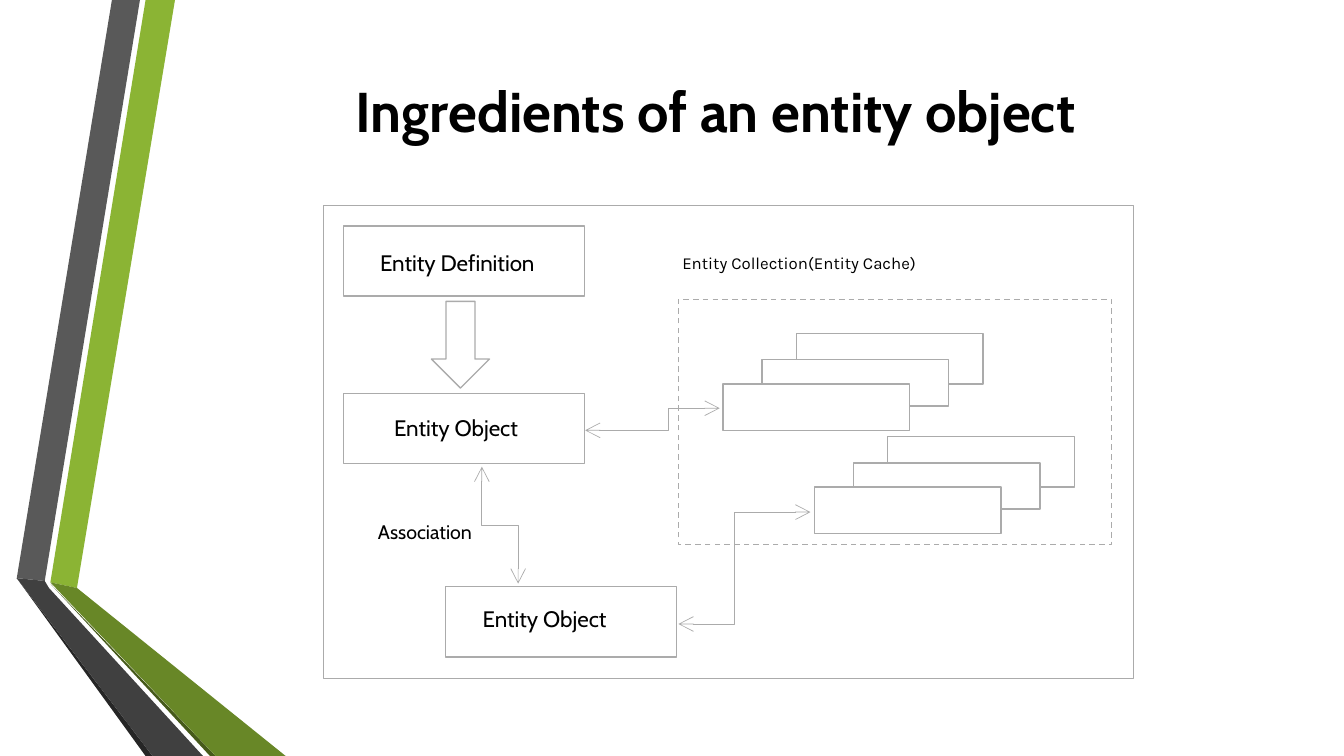
from dataclasses import dataclass

from lxml import etree
from pptx import Presentation
from pptx.dml.color import RGBColor
from pptx.enum.dml import MSO_LINE
from pptx.enum.shapes import MSO_CONNECTOR, MSO_SHAPE
from pptx.enum.text import MSO_ANCHOR, PP_ALIGN
from pptx.oxml.ns import qn
from pptx.util import Pt

BLACK = RGBColor(0x00, 0x00, 0x00)
WHITE = RGBColor(0xFF, 0xFF, 0xFF)
GREY = RGBColor(0xAB, 0xAB, 0xAB)
GREEN = RGBColor(0x8B, 0xB4, 0x34)
MID_GREEN = RGBColor(0x68, 0x87, 0x27)
DARK_GREEN = RGBColor(0x46, 0x5A, 0x1A)
SLATE = RGBColor(0x59, 0x59, 0x59)
DARK_SLATE = RGBColor(0x40, 0x40, 0x40)
INK = RGBColor(0x26, 0x26, 0x26)

RECTANGLE = MSO_SHAPE.RECTANGLE
DOWN_ARROW = MSO_SHAPE.DOWN_ARROW
ELBOW = MSO_CONNECTOR.ELBOW
DASH = MSO_LINE.DASH
LEFT, CENTER = PP_ALIGN.LEFT, PP_ALIGN.CENTER
TOP, MIDDLE = MSO_ANCHOR.TOP, MSO_ANCHOR.MIDDLE


@dataclass
class Ribbon:
    color: RGBColor
    points: list[tuple[float, float]]


@dataclass
class Box:
    x: float
    y: float
    w: float
    h: float
    text: str = ""
    inset_x: float = 0
    inset_y: float = 0
    line_width: float = 1
    dash: MSO_LINE | None = None
    preset: MSO_SHAPE = RECTANGLE


@dataclass
class Label:
    x: float
    y: float
    w: float
    h: float
    text: str
    size: float
    font: str = "Cabin"


@dataclass
class Link:
    x1: float
    y1: float
    x2: float
    y2: float
    bend: float = 0.5
    vertical: bool = False


RIBBONS = [
    Ribbon(GREEN, [(36, 416.2), (55.4, 419.8), (124.6, 0), (104.4, 0)]),
    Ribbon(SLATE, [(100, 0), (80, 0), (11.5, 412.6), (31.7, 415.4)]),
    Ribbon(INK, [(11.5, 412.6), (104.4, 540), (108.7, 540)]),
    Ribbon(DARK_GREEN, [(36, 416.9), (149.8, 540), (154.1, 540)]),
    Ribbon(MID_GREEN, [(36, 416.2), (154.1, 540), (203.8, 540), (55.4, 419.8)]),
    Ribbon(DARK_SLATE, [(145.4, 540), (34.6, 419.8), (31.7, 415.4),
                        (11.5, 412.6), (108.7, 540)]),
]
STACK = [(568.8, 238.3, 36), (544.3, 257, 33.1), (516.4, 274.3, 33.1)]
STACK_OFFSETS = [(0, 0), (65.2, 73.6)]
BOXES = [
    Box(231.1, 146.9, 578.2, 337.7, line_width=0.5),
    Box(245.5, 161.5, 171.8, 50, "Entity Definition", 26, 13.5),
    Box(308.2, 215.3, 41.4, 61.9, preset=DOWN_ARROW),
    Box(245.5, 281, 171.8, 50, "Entity Object", 36, 12),
    Box(318.2, 419, 164.9, 50.4, "Entity Object", 26.6, 10.1),
    Box(484.6, 213.8, 309.6, 175, dash=DASH),
] + [Box(x + dx, y + dy, 133.4, h)
     for dx, dy in STACK_OFFSETS for x, y, h in STACK]
LABELS = [
    Label(487.4, 178.6, 300, 33, "Entity Collection(Entity Cache)", 12, "Karla"),
    Label(270, 368.6, 72, 33, "Association", 14),
]
LINKS = [
    Link(418, 307.4, 514.1, 291.6, bend=0.62),
    Link(344.2, 333.4, 370.1, 416.9, vertical=True),
    Link(484.6, 445.7, 578.9, 365.8, bend=0.42),
]


def write(tf, text: str, size: float, font: str = "Cabin", bold: bool = False,
          align=LEFT, anchor=TOP, spacing: float = 1.15,
          inset_x: float = 0, inset_y: float = 0) -> None:
    frame = {"word_wrap": True, "vertical_anchor": anchor,
             "margin_left": Pt(inset_x), "margin_top": Pt(inset_y),
             "margin_right": 0, "margin_bottom": 0}
    for name, value in frame.items():
        setattr(tf, name, value)
    p = tf.paragraphs[0]
    p.alignment, p.line_spacing = align, spacing
    r = p.add_run()
    r.text = text
    for name, value in {"size": Pt(size), "name": font, "bold": bold}.items():
        setattr(r.font, name, value)
    r.font.color.rgb = BLACK


def draw_ribbon(s, ribbon: Ribbon) -> None:
    builder = s.shapes.build_freeform(*ribbon.points[0], scale=Pt(1))
    builder.add_line_segments(ribbon.points[1:], close=True)
    sp = builder.convert_to_shape()
    sp.shadow.inherit = False
    sp.fill.solid()
    sp.fill.fore_color.rgb = ribbon.color
    sp.line.fill.background()


def draw_box(s, box: Box) -> None:
    sp = s.shapes.add_shape(box.preset, Pt(box.x), Pt(box.y), Pt(box.w), Pt(box.h))
    sp.shadow.inherit = False
    sp.fill.solid()
    sp.fill.fore_color.rgb = WHITE
    sp.line.color.rgb = GREY
    sp.line.width = Pt(box.line_width)
    if box.dash:
        sp.line.dash_style = box.dash
    if box.text:
        write(sp.text_frame, box.text, 16, inset_x=box.inset_x, inset_y=box.inset_y)


def draw_label(s, label: Label) -> None:
    sp = s.shapes.add_textbox(Pt(label.x), Pt(label.y), Pt(label.w), Pt(label.h))
    write(sp.text_frame, label.text, label.size, label.font)


def draw_link(s, link: Link) -> None:
    x1, y1, x2, y2 = link.x1, link.y1, link.x2, link.y2
    if link.vertical:
        cx, cy = (x1 + x2) / 2, (y1 + y2) / 2
        half_w, half_h = (y2 - y1) / 2, (x2 - x1) / 2
        x1, y1, x2, y2 = cx - half_w, cy + half_h, cx + half_w, cy - half_h
    c = s.shapes.add_connector(ELBOW, Pt(x1), Pt(y1), Pt(x2), Pt(y2))
    c.line.color.rgb = GREY
    c.line.width = Pt(0.5)
    spPr = c._element.spPr
    if link.vertical:
        spPr.find(qn("a:xfrm")).set("rot", "5400000")
    geom = spPr.find(qn("a:prstGeom"))
    avLst = geom.find(qn("a:avLst"))
    if avLst is None:
        avLst = etree.SubElement(geom, qn("a:avLst"))
    etree.SubElement(avLst, qn("a:gd"), name="adj1",
                     fmla=f"val {round(link.bend * 100000)}")
    ln = spPr.find(qn("a:ln"))
    for end in ("a:headEnd", "a:tailEnd"):
        etree.SubElement(ln, qn(end), type="arrow", w="lg", len="lg")
    etree.SubElement(spPr, qn("a:effectLst"))


def main() -> None:
    prs = Presentation()
    prs.slide_width, prs.slide_height = Pt(960), Pt(540)
    s = prs.slides.add_slide(prs.slide_layouts[5])
    title = s.shapes.title
    place = {"left": 116.6, "top": 36, "width": 789.1, "height": 85.7}
    for name, value in place.items():
        setattr(title, name, Pt(value))
    write(title.text_frame, "Ingredients of an entity object", 40, bold=True,
          align=CENTER, anchor=MIDDLE, spacing=1.0)
    for draw, items in ((draw_ribbon, RIBBONS), (draw_box, BOXES),
                        (draw_label, LABELS), (draw_link, LINKS)):
        for item in items:
            draw(s, item)
    prs.save("out.pptx")


if __name__ == "__main__":
    main()
